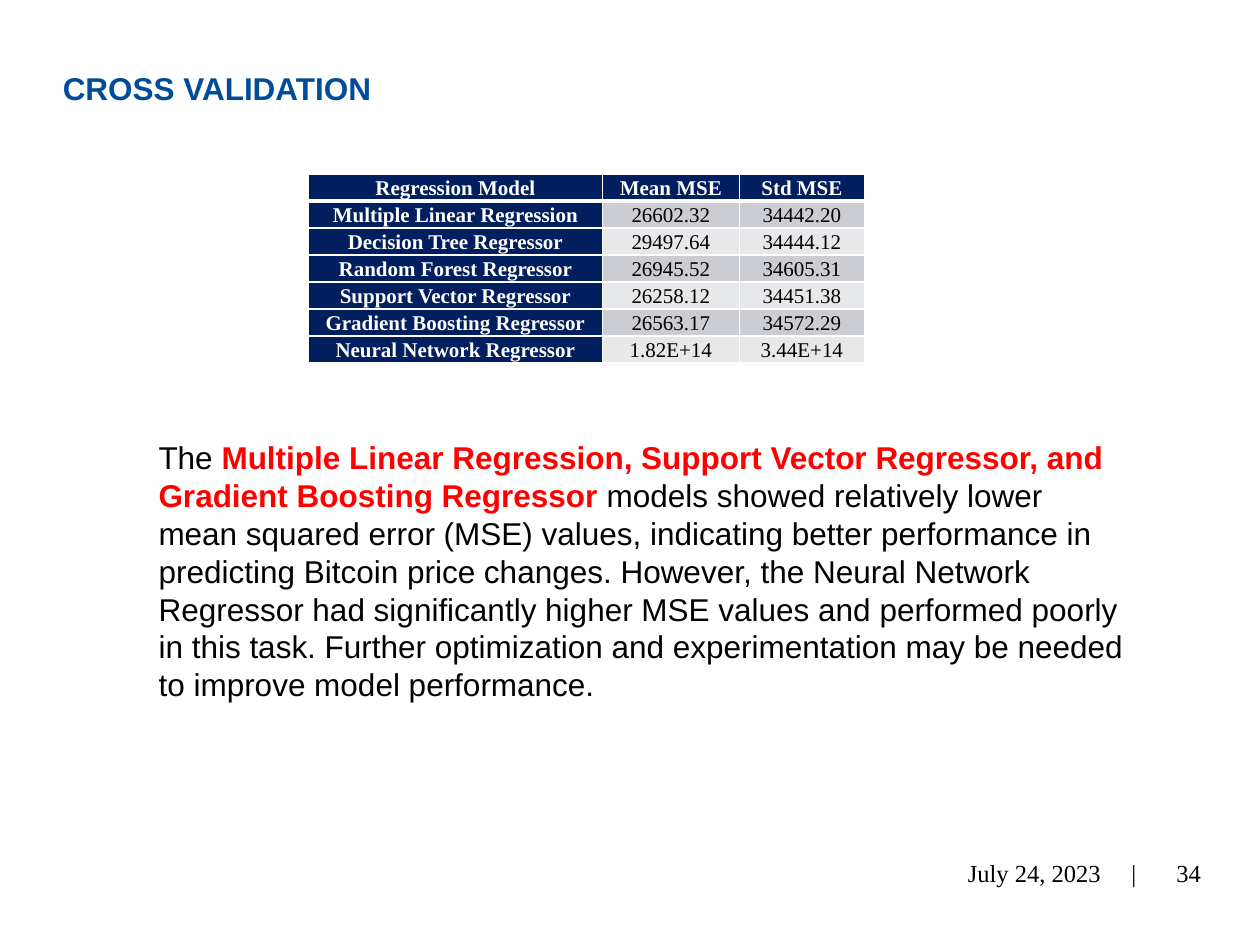
from lxml import etree
from pptx import Presentation
from pptx.dml.color import RGBColor
from pptx.enum.text import MSO_ANCHOR as Anchor, PP_ALIGN as Align
from pptx.oxml.ns import qn
from pptx.util import Inches, Pt

SANS, SERIF = "Arial", "Times New Roman"
NAVY, WHITE, BLACK = "011E5E", "FFFFFF", "000000"
BANDS = ("CCCDD2", "E7E8EA")
COLUMN_WIDTHS = (2.33, 1.09, 0.99)
ROW_HEIGHT = 0.2
SCORES = (
    ("Regression Model", "Mean MSE", "Std MSE"),
    ("Multiple Linear Regression", "26602.32", "34442.20"),
    ("Decision Tree Regressor", "29497.64", "34444.12"),
    ("Random Forest Regressor", "26945.52", "34605.31"),
    ("Support Vector Regressor", "26258.12", "34451.38"),
    ("Gradient Boosting Regressor", "26563.17", "34572.29"),
    ("Neural Network Regressor", "1.82E+14", "3.44E+14"),
)
FINDING = (
    ("The ", BLACK, False),
    ("Multiple Linear Regression, Support Vector Regressor, and "
     "Gradient Boosting Regressor", "FF0000", True),
    (" models showed relatively lower mean squared error (MSE) values, "
     "indicating better performance in predicting Bitcoin price changes. "
     "However, the Neural Network Regressor had significantly higher MSE "
     "values and performed poorly in this task. Further optimization and "
     "experimentation may be needed to improve model performance.", BLACK, False),
)


def rgb(value):
    return RGBColor.from_string(value)


def add_run(paragraph, text, size, font, color, bold=False):
    run = paragraph.add_run()
    run.text = text
    run.font.size, run.font.name, run.font.bold = Pt(size), font, bold
    run.font.color.rgb = rgb(color)


def add_text_box(slide, box, anchor=Anchor.TOP):
    frame = slide.shapes.add_textbox(*map(Inches, box)).text_frame
    frame.word_wrap = True
    frame.vertical_anchor = anchor
    return frame.paragraphs[0]


def add_right_tabs(paragraph, stops):
    tabs = etree.SubElement(paragraph._p.get_or_add_pPr(), qn("a:tabLst"))
    for stop in stops:
        etree.SubElement(tabs, qn("a:tab"), pos=str(Inches(stop)), algn="r")


def add_borders(cell, widths):
    properties = cell._tc.get_or_add_tcPr()
    for side, width in zip("LRTB", widths):
        line = etree.SubElement(properties, qn(f"a:ln{side}"), w=str(Pt(width)))
        fill = etree.SubElement(line, qn("a:solidFill"))
        etree.SubElement(fill, qn("a:srgbClr"), val=WHITE)


def add_title(slide, box):
    title = add_text_box(slide, box)
    title.line_spacing = Pt(26.6)
    add_run(title, "CROSS VALIDATION", 18, SANS, "004C9B", True)


def add_score_table(slide, left, top):
    box = (left, top, sum(COLUMN_WIDTHS), ROW_HEIGHT * len(SCORES))
    table = slide.shapes.add_table(
        len(SCORES), len(COLUMN_WIDTHS), *map(Inches, box)).table
    for column, width in zip(table.columns, COLUMN_WIDTHS):
        column.width = Inches(width)
    for r, row in enumerate(SCORES):
        table.rows[r].height = Inches(ROW_HEIGHT)
        for c, value in enumerate(row):
            heading = r == 0 or c == 0
            cell = table.cell(r, c)
            # A thick rule separates the header from the scores
            add_borders(cell, (1, 1, 3 if r == 1 else 1, 3 if r == 0 else 1))
            cell.fill.solid()
            cell.fill.fore_color.rgb = rgb(NAVY if heading else BANDS[(r - 1) % 2])
            cell.margin_left = cell.margin_right = Inches(0.07)
            cell.margin_top = cell.margin_bottom = 0
            cell.vertical_anchor = Anchor.MIDDLE
            score = cell.text_frame.paragraphs[0]
            score.alignment, score.line_spacing = Align.CENTER, 1.07
            add_run(score, value, 12, SERIF, WHITE if heading else BLACK, heading)


def add_finding(slide, box):
    finding = add_text_box(slide, box)
    for text, color, bold in FINDING:
        add_run(finding, text, 18, SANS, color, bold)


def add_footer(slide, top, height):
    # Date and divider end at right tab stops
    date = add_text_box(slide, (6.86, top, 2.27, height), Anchor.MIDDLE)
    add_right_tabs(date, (1.78, 2.06))
    add_run(date, "\tJuly 24, 2023\t|", 14, SERIF, BLACK)
    # Slide number
    number = add_text_box(slide, (8.89, top, 0.74, height), Anchor.MIDDLE)
    number.alignment = Align.RIGHT
    add_run(number, "34", 14, SERIF, BLACK)


def main():
    deck = Presentation()
    deck.slide_width, deck.slide_height = Inches(10), Inches(7.5)
    slide = deck.slides.add_slide(deck.slide_layouts[6])
    add_title(slide, (0.4, 0.43, 9.24, 1.17))
    add_score_table(slide, 2.45, 1.38)
    add_footer(slide, 6.73, 0.4)
    add_finding(slide, (1.16, 3.43, 7.88, 2.22))
    deck.save("out.pptx")


if __name__ == "__main__":
    main()
